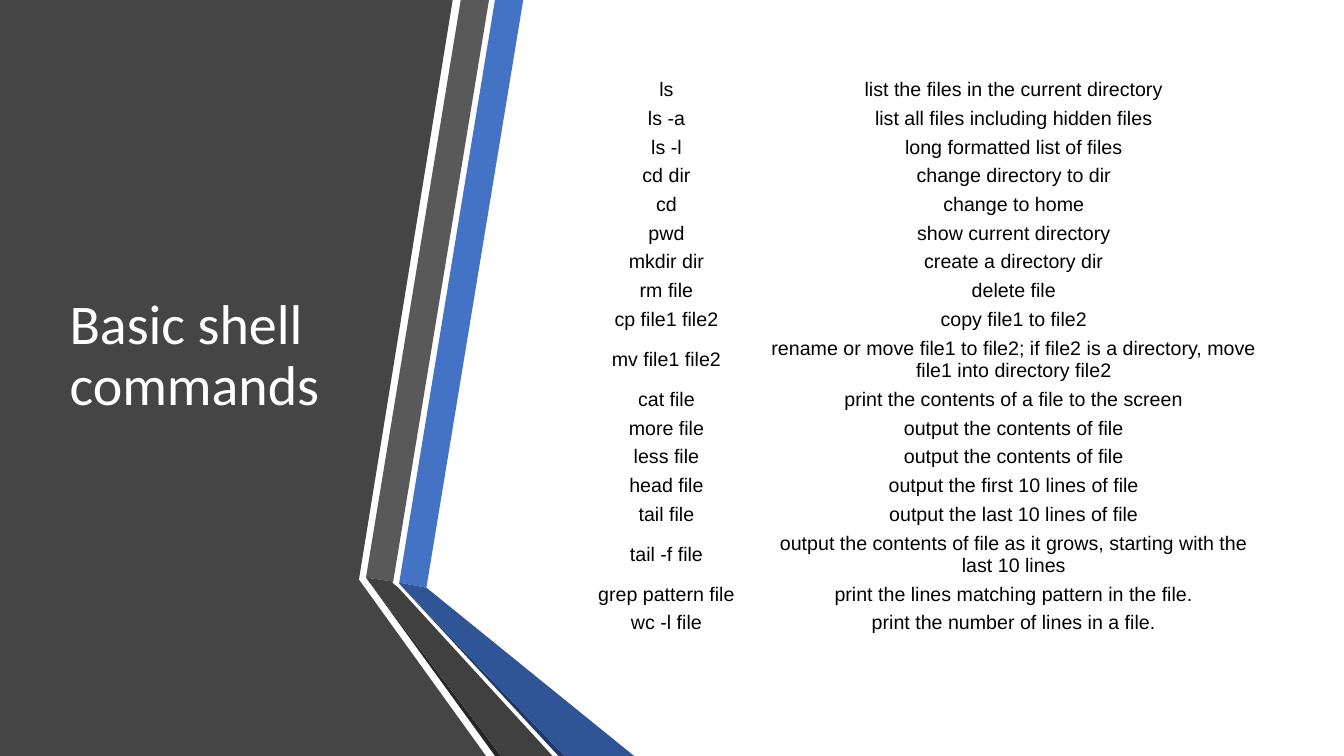
import pptx
import pptx.util
import pptx.dml.color
import pptx.enum.text

Inches = pptx.util.Inches
ALIGN = pptx.enum.text.PP_ALIGN
MIDDLE = pptx.enum.text.MSO_ANCHOR.MIDDLE

COLORS = {
    "panel": "454545", "blue": "4472C4", "gray": "595959",
    "gray edge": "262626", "blue edge": "203864",
    "blue fold": "2F5597", "gray fold": "404040",
    "white": "FFFFFF", "black": "000000",
}

PANEL = [(0, 0), (4.49, 0), (3.56, 5.75), (4.82, 7.5), (0, 7.5)]

BANDS = [
    ("blue", [(3.96, 5.78), (4.23, 5.83), (5.19, 0), (4.91, 0)]),
    ("gray", [(4.85, 0), (4.57, 0), (3.63, 5.73), (3.9, 5.77)]),
    ("gray edge", [(3.63, 5.73), (4.91, 7.5), (4.97, 7.5)]),
    ("blue edge", [(3.96, 5.79), (5.54, 7.5), (5.6, 7.5)]),
    ("blue fold", [(3.96, 5.79), (5.6, 7.5), (6.29, 7.5), (4.23, 5.83), (3.96, 5.78)]),
    ("gray fold", [(5.48, 7.5), (3.95, 5.83), (3.89, 5.78), (3.9, 5.77),
                   (3.63, 5.73), (4.97, 7.5)]),
]

COMMANDS = [
    ("ls", "list the files in the current directory"),
    ("ls -a", "list all files including hidden files"),
    ("ls -l", "long formatted list of files"),
    ("cd dir", "change directory to dir"),
    ("cd", "change to home"),
    ("pwd", "show current directory"),
    ("mkdir dir", "create a directory dir"),
    ("rm file", "delete file"),
    ("cp file1 file2", "copy file1 to file2"),
    ("mv file1 file2", "rename or move file1 to file2; if file2 is a directory, "
                       "move file1 into directory file2"),
    ("cat file", "print the contents of a file to the screen"),
    ("more file", "output the contents of file"),
    ("less file", "output the contents of file"),
    ("head file", "output the first 10 lines of file"),
    ("tail file", "output the last 10 lines of file"),
    ("tail -f file", "output the contents of file as it grows, "
                     "starting with the last 10 lines"),
    ("grep pattern file", "print the lines matching pattern in the file."),
    ("wc -l file", "print the number of lines in a file."),
]


def color(name):
    return pptx.dml.color.RGBColor.from_string(COLORS[name])


def write(frame, text, size=14, face="Arial", ink="black", align=ALIGN.CENTER, spacing=1.0):
    frame.text = text
    par = frame.paragraphs[0]
    par.alignment = align
    par.line_spacing = spacing
    font = par.runs[0].font
    font.size = pptx.util.Pt(size)
    font.name = face
    font.color.rgb = color(ink)


class Board:
    def __init__(self, slide):
        self.slide = slide
        self.top, self.height = 0.75, 5.58
        self.tall, self.inset = 0.51, 0.01

    def outline(self, shapes, fill, points):
        """Draw a filled polygon from points in inches."""
        spots = [(Inches(x), Inches(y)) for x, y in points]
        pen = shapes.build_freeform(*spots[0])
        pen.add_line_segments(spots[1:], close=True)
        shape = pen.convert_to_shape()
        shape.shadow.inherit = False
        shape.fill.solid()
        shape.fill.fore_color.rgb = color(fill)
        shape.line.fill.background()

    def bands(self):
        group = self.slide.shapes.add_group_shape()
        for fill, points in BANDS:
            self.outline(group.shapes, fill, points)

    def title(self, text):
        """Fill the title placeholder and bring it in front of the panel."""
        title = self.slide.shapes.title
        title.left, title.top = Inches(0.59), Inches(self.top)
        title.width, title.height = Inches(3.04), Inches(self.height)
        frame = title.text_frame
        frame.word_wrap = True
        frame.auto_size = pptx.enum.text.MSO_AUTO_SIZE.NONE
        frame.vertical_anchor = MIDDLE
        write(frame, text, size=40, face="Calibri", ink="white",
              align=ALIGN.LEFT, spacing=0.9)
        title.element.getparent().append(title.element)

    def table(self, rows, widths):
        """Add a plain table; rows with a long second cell are taller."""
        table = self.slide.shapes.add_table(
            len(rows), len(widths), Inches(5.59), Inches(self.top),
            Inches(sum(widths)), Inches(self.height)).table
        table.first_row = table.horz_banding = False
        for col, width in zip(table.columns, widths):
            col.width = Inches(width)
        long = [len(row[1]) > 60 for row in rows]
        short = (self.height - sum(long) * self.tall) / long.count(False)
        for i, row in enumerate(rows):
            table.rows[i].height = Inches(self.tall if long[i] else short)
            for j, text in enumerate(row):
                self.cell(table.cell(i, j), text)

    def cell(self, cell, text):
        cell.fill.background()
        cell.vertical_anchor = MIDDLE
        cell.margin_left = cell.margin_right = Inches(self.inset)
        cell.margin_top = cell.margin_bottom = Inches(self.inset)
        write(cell.text_frame, text)


def main():
    deck = pptx.Presentation()
    deck.slide_width, deck.slide_height = Inches(13.33), Inches(7.5)
    board = Board(deck.slides.add_slide(deck.slide_layouts[5]))
    board.outline(board.slide.shapes, "panel", PANEL)
    board.bands()
    board.title("Basic shell commands")
    board.table(COMMANDS, [2.04, 4.85])
    deck.save("out.pptx")


if __name__ == "__main__":
    main()
